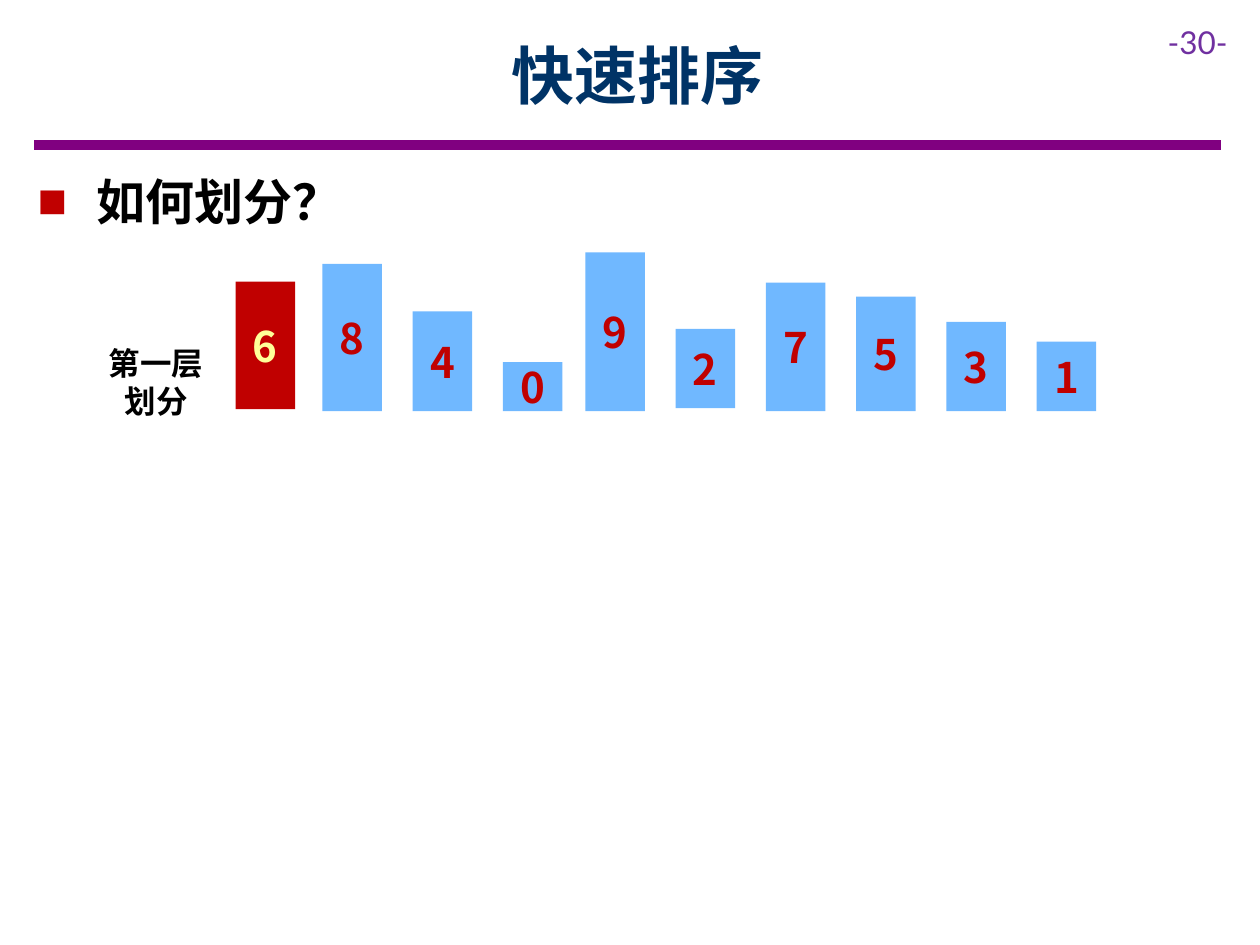
import pptx
import pptx.dml.color
import pptx.enum.shapes
import pptx.enum.text
import pptx.oxml.xmlchemy
import pptx.util
from pptx.util import Cm

CJK = "Noto Sans CJK SC"
RED, BLUE, PURPLE = "C00000", "70B8FF", "800080"
CENTER = pptx.enum.text.PP_ALIGN.CENTER
BAR_WIDTH, BAR_PITCH, BASELINE = 1.2, 1.82, 8.29


def rgb(code):
    return pptx.dml.color.RGBColor.from_string(code)


def add_child(parent, tag, **attributes):
    child = pptx.oxml.xmlchemy.OxmlElement(tag)
    for key, value in attributes.items():
        child.set(key, value)
    parent.append(child)
    return child


def add_square_bullet(paragraph, color, indent):
    properties = paragraph._p.get_or_add_pPr()
    properties.set("marL", str(int(indent)))
    properties.set("indent", str(-int(indent)))
    bullet_color = add_child(properties, "a:buClr")
    add_child(bullet_color, "a:srgbClr", val=color)
    add_child(properties, "a:buFont", typeface="Arial")
    add_child(properties, "a:buChar", char="■")


def write(shape, text, size, color, font=CJK, bold=True, align=None,
          middle=False, margins=None, wrap=True, bullet=None, after=None):
    """Fill a shape with text, one paragraph for each line."""
    frame = shape.text_frame
    frame.word_wrap = wrap
    frame.vertical_anchor = (pptx.enum.text.MSO_ANCHOR.MIDDLE if middle
                             else pptx.enum.text.MSO_ANCHOR.TOP)
    if margins:
        frame.margin_left = frame.margin_right = Cm(margins[0])
        frame.margin_top = frame.margin_bottom = Cm(margins[1])
    frame.text = text
    for paragraph in frame.paragraphs:
        paragraph.alignment = align
        if after is not None:
            paragraph.space_after = pptx.util.Pt(after)
        if bullet:
            add_square_bullet(paragraph, bullet, Cm(0.97))
        for run in paragraph.runs:
            run.font.size = pptx.util.Pt(size)
            run.font.bold = bold
            run.font.name = font
            run.font.color.rgb = rgb(color)
            add_child(run._r.get_or_add_rPr(), "a:ea", typeface=font)


def add_text(slide, left, top, width, height, text, **style):
    box = slide.shapes.add_textbox(Cm(left), Cm(top), Cm(width), Cm(height))
    write(box, text, **style)


def add_rule(slide, left, right, y, color, weight):
    rule = slide.shapes.add_connector(
        pptx.enum.shapes.MSO_CONNECTOR.STRAIGHT,
        Cm(left), Cm(y), Cm(right), Cm(y))
    rule.line.color.rgb = rgb(color)
    rule.line.width = pptx.util.Pt(weight)
    add_child(rule._element.spPr, "a:effectLst")


def add_bar(slide, left, height, number, bottom=BASELINE, fill=BLUE, color=RED):
    bar = slide.shapes.add_shape(
        pptx.enum.shapes.MSO_SHAPE.RECTANGLE,
        Cm(left), Cm(bottom - height), Cm(BAR_WIDTH), Cm(height))
    bar.shadow.inherit = False
    bar.fill.solid()
    bar.fill.fore_color.rgb = rgb(fill)
    bar.line.fill.background()
    write(bar, str(number), size=24, color=color, align=CENTER,
          middle=True, margins=(0, 0.25))


def add_bar_row(slide, left, bars):
    for index, (number, height, bottom) in enumerate(bars):
        add_bar(slide, left + index * BAR_PITCH, height, number, bottom)


def main():
    deck = pptx.Presentation()
    deck.slide_width, deck.slide_height = Cm(25.4), Cm(19.05)
    slide = deck.slides.add_slide(deck.slide_layouts[6])

    add_rule(slide, 0.69, 24.61, 2.92, PURPLE, 6)
    add_text(slide, 23.29, 0.33, 2.11, 1.02, "-30-",
             size=18, color="7030A0", font="Lato", bold=False)
    add_text(slide, 2.29, 0.23, 21.11, 2.54, "快速排序",
             size=36, color="003366", align=CENTER, middle=True)
    add_text(slide, 0.51, 3.33, 24.23, 1.45, " 如何划分？",
             size=28, color="000000", bullet=RED, after=6)

    add_bar(slide, 4.75, 2.57, 6, bottom=8.25, fill=RED, color="FFFF99")
    add_bar_row(slide, 6.5, [(8, 2.97, BASELINE), (4, 2.01, BASELINE),
                             (0, 0.99, BASELINE)])
    add_bar_row(slide, 11.8, [(9, 3.2, BASELINE), (2, 1.6, 8.23),
                              (7, 2.59, BASELINE), (5, 2.31, BASELINE),
                              (3, 1.8, BASELINE), (1, 1.4, BASELINE)])
    add_text(slide, 1.93, 6.81, 2.44, 1.8, "第一层\n划分",
             size=18, color="000000", align=CENTER, wrap=False)

    deck.save("out.pptx")


if __name__ == "__main__":
    main()
